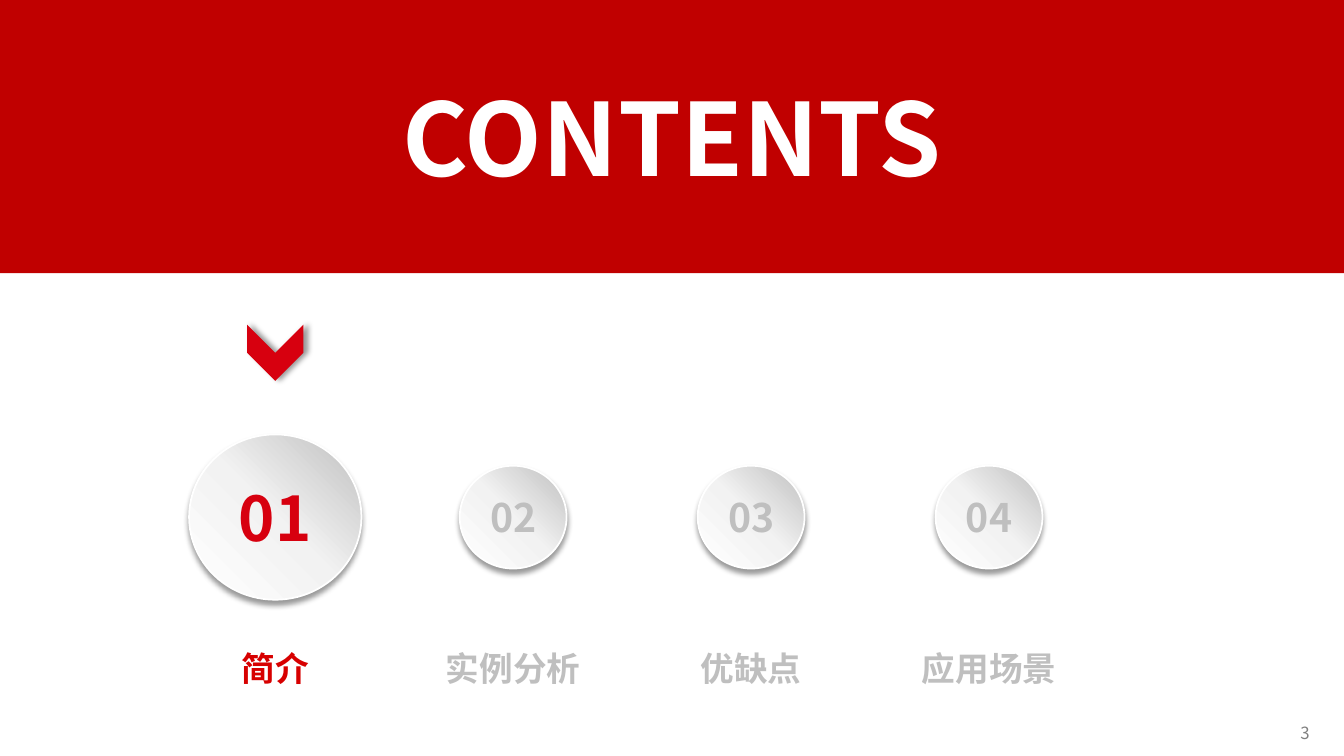
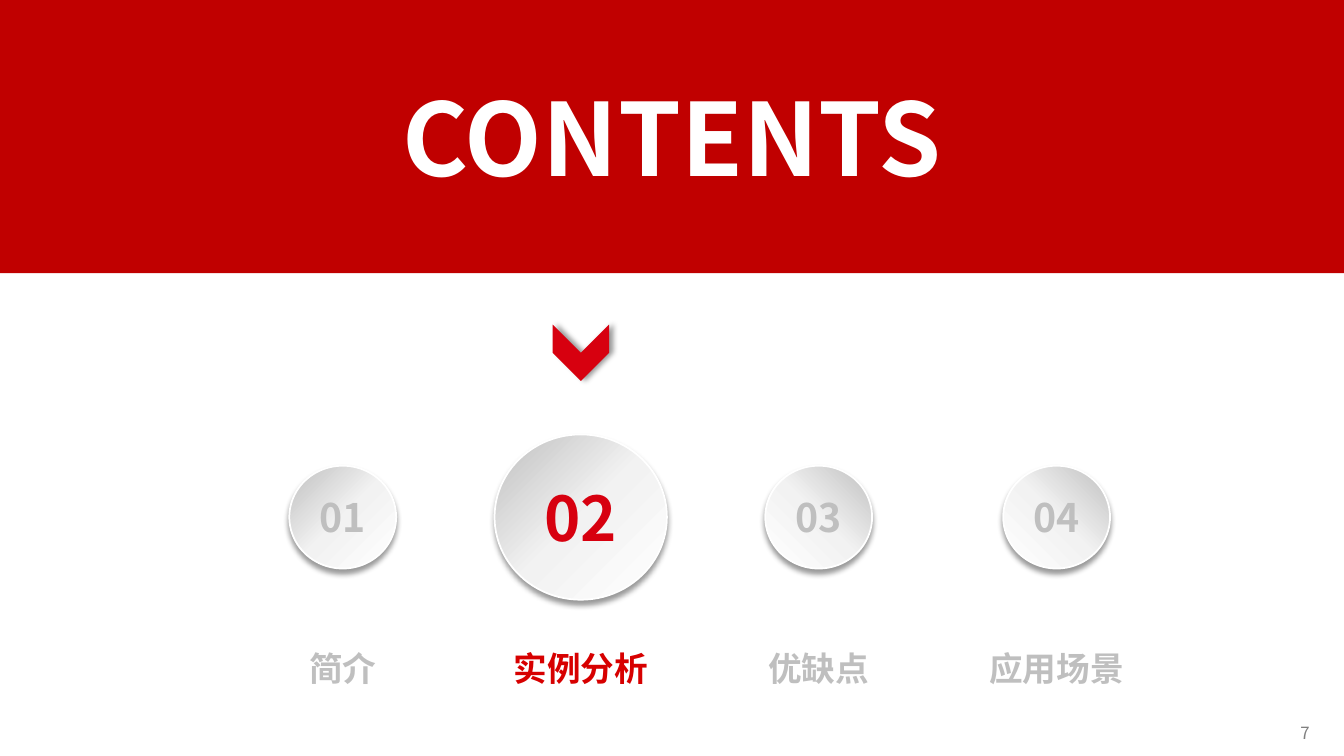
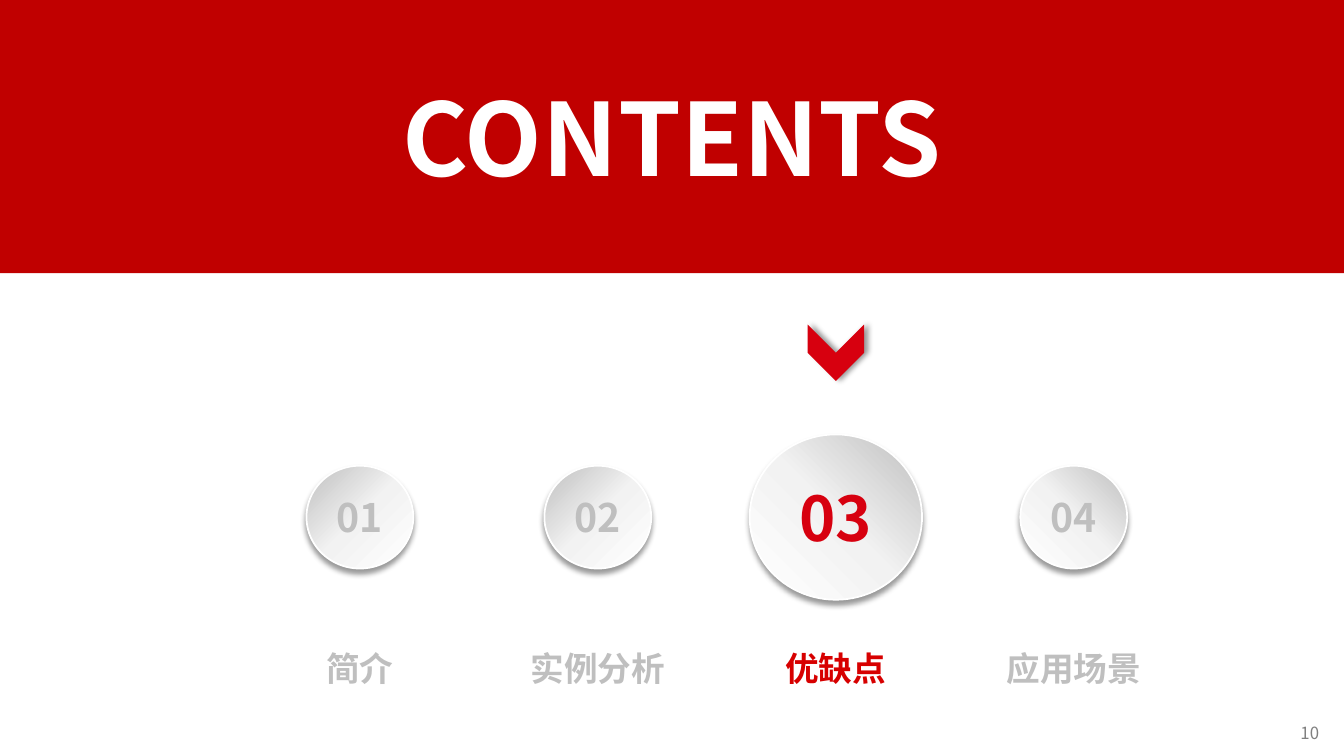
from lxml.etree import SubElement
from pptx import Presentation
from pptx.dml.color import RGBColor
from pptx.enum.shapes import MSO_SHAPE as Preset
from pptx.enum.text import MSO_ANCHOR as Anchor, PP_ALIGN as Align
from pptx.oxml.ns import qn
from pptx.util import Inches, Pt

COLORS = {
    "band": "C00000", "number": "D7000F", "label": "D70000",
    "muted": "BFBFBF", "page": "808080", "white": "FFFFFF",
    "rim": "D9D9D9", "pale": "F2F2F2", "shadow": "000000",
}
FONT = "Noto Sans CJK SC"
WIDTH, HEIGHT = 13.33, 7.5
BAND_HEIGHT = 2.71
PITCH = 2.36
CIRCLE_MIDDLE = 5.13
LABEL_WIDTH, LABEL_TOP = 3.43, 6.38
CHEVRON_SIZE, CHEVRON_TOP = 0.56, 3.22
DEGREE = 60000
TOPICS = ["简介", "实例分析", "优缺点", "应用场景"]
# page number, active topic, centre of the first topic, count of mirrored circles
SECTIONS = [(3, 0, 2.73, 0), (7, 1, 3.4, 2), (10, 2, 3.57, 2)]


def rgb(name):
    """Return the named palette colour."""
    return RGBColor.from_string(COLORS[name])


def write(shape, text, size, color, bold=True, align=Align.CENTER):
    """Put one styled run into a shape."""
    frame = shape.text_frame
    frame.word_wrap = True
    paragraph = frame.paragraphs[0]
    paragraph.alignment = align
    run = paragraph.add_run()
    run.text = text
    run.font.size = Pt(size)
    run.font.bold = bold
    run.font.color.rgb = rgb(color)
    run.font.name = FONT
    SubElement(run._r.get_or_add_rPr(), qn("a:ea"), typeface=FONT)


def add_text(slide, left, top, width, height, *style, **options):
    """Add a text box holding one run."""
    box = slide.shapes.add_textbox(*map(Inches, (left, top, width, height)))
    write(box, *style, **options)


def add_shape(slide, preset, left, top, width, height, fill=None):
    """Add a preset shape without outline or shadow."""
    shape = slide.shapes.add_shape(
        preset, *map(Inches, (left, top, width, height)))
    shape.shadow.inherit = False
    shape.line.fill.background()
    if fill:
        shape.fill.solid()
        shape.fill.fore_color.rgb = rgb(fill)
    return shape


def set_gradient(fill, parent, names):
    """Give a fill three evenly spaced stops rising to the upper right."""
    fill.gradient()
    gradient = parent.find(qn("a:gradFill"))
    for child in list(gradient):
        gradient.remove(child)
    stops = SubElement(gradient, qn("a:gsLst"))
    for index, name in enumerate(names):
        stop = SubElement(stops, qn("a:gs"), pos=str(index * 50000))
        SubElement(stop, qn("a:srgbClr"), val=COLORS[name])
    SubElement(gradient, qn("a:lin"), ang=str(315 * DEGREE), scaled="0")


def cast_shadow(shape, degrees):
    """Add a soft outer shadow in the given direction."""
    effects = shape.element.spPr.find(qn("a:effectLst"))
    shadow = SubElement(
        effects, qn("a:outerShdw"), blurRad=str(int(Pt(4))),
        dist=str(int(Pt(3))), dir=str(degrees * DEGREE), algn="ctr",
        rotWithShape="0")
    color = SubElement(shadow, qn("a:srgbClr"), val=COLORS["shadow"])
    SubElement(color, qn("a:alpha"), val="40000")


def add_circle(slide, center, width, height, mirrored):
    """Add a shaded, rimmed circle centred on the topic row."""
    circle = add_shape(slide, Preset.OVAL, center - width / 2,
                       CIRCLE_MIDDLE - height / 2, width, height)
    properties = circle.element.spPr
    set_gradient(circle.fill, properties, ["white", "pale", "muted"])
    circle.line.width = Pt(1.25)
    set_gradient(circle.line.fill, properties.find(qn("a:ln")),
                 ["rim", "white", "white"])
    cast_shadow(circle, 90)
    if mirrored:
        properties.find(qn("a:xfrm")).set("flipH", "1")
    return circle


def add_topic(slide, center, number, label, active, mirrored):
    """Add a numbered circle and its label, marked when active."""
    width, height, size = (1.71, 1.64, 44) if active else (1.06, 1.02, 28)
    circle = add_circle(slide, center, width, height, mirrored)
    write(circle, f"{number:02}", size, "number" if active else "muted")
    add_text(slide, center - LABEL_WIDTH / 2, LABEL_TOP, LABEL_WIDTH, 0.5,
             label, 24, "label" if active else "muted")
    if active:
        chevron = add_shape(slide, Preset.CHEVRON, center - CHEVRON_SIZE / 2,
                            CHEVRON_TOP, CHEVRON_SIZE, CHEVRON_SIZE, "number")
        chevron.rotation = 90
        cast_shadow(chevron, 0)


def add_band(slide):
    """Add the title band across the top."""
    band = add_shape(slide, Preset.RECTANGLE, 0, 0, WIDTH, BAND_HEIGHT, "band")
    band.text_frame.vertical_anchor = Anchor.MIDDLE
    write(band, "CONTENTS", 72, "white")


def add_contents(presentation, page, active, first_center, mirrored_count):
    """Add a contents slide with one topic highlighted."""
    slide = presentation.slides.add_slide(presentation.slide_layouts[6])
    add_text(slide, 12.8, 7.12, 0.51, 0.29, str(page), 12, "page",
             bold=False, align=Align.LEFT)
    for index, label in enumerate(TOPICS):
        add_topic(slide, first_center + index * PITCH, index + 1, label,
                  index == active, index < mirrored_count)
    add_band(slide)


def main():
    """Build and save the presentation."""
    presentation = Presentation()
    presentation.slide_width = Inches(WIDTH)
    presentation.slide_height = Inches(HEIGHT)
    for section in SECTIONS:
        add_contents(presentation, *section)
    presentation.save("out.pptx")


main()
